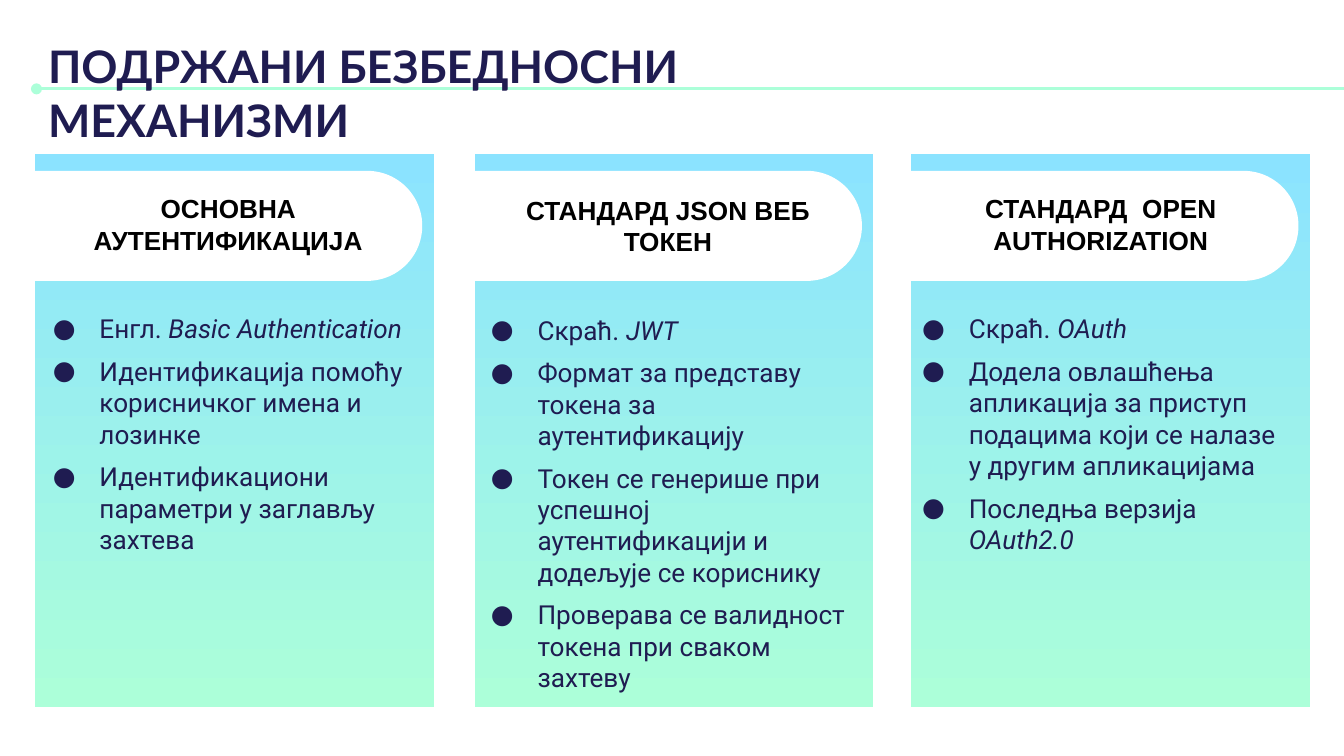
from lxml import etree
from pptx import Presentation
from pptx import util as u
from pptx.dml.color import RGBColor
from pptx.enum import shapes, text
from pptx.oxml.ns import qn

TITLE = "ПОДРЖАНИ БЕЗБЕДНОСНИ МЕХАНИЗМИ"

# Each bullet is a list of (text, italic) runs; lefts and tops are in cm.
COLUMNS = [
    dict(
        heading="ОСНОВНА АУТЕНТИФИКАЦИЈА",
        panel_left=0.66, heading_at=(1.24, 3.58), body_at=(0.36, 5.66),
        bullets=[
            [("Енгл. ", False), ("Basic Authentication", True)],
            [("Идентификација помоћу корисничког имена и лозинке", False)],
            [("Идентификациони параметри у заглављу захтева", False)],
        ],
    ),
    dict(
        heading="СТАНДАРД JSON ВЕБ ТОКЕН",
        panel_left=8.97, heading_at=(9.55, 3.61), body_at=(8.64, 5.69),
        bullets=[
            [("Скраћ. ", False), ("JWT", True)],
            [("Формат за представу токена за аутентификацију", False)],
            [("Токен се генерише при успешној аутентификацији и додељује се кориснику", False)],
            [("Проверава се валидност токена при сваком захтеву", False)],
        ],
    ),
    dict(
        heading="СТАНДАРД  OPEN AUTHORIZATION",
        panel_left=17.22, heading_at=(17.73, 3.58), body_at=(16.79, 5.66),
        bullets=[
            [("Скраћ. ", False), ("OAuth", True)],
            [("Додела овлашћења апликација за приступ подацима који се налазе "
              "у другим апликацијама", False)],
            [("Последња верзија ", False), ("OAuth2.0", True)],
        ],
    ),
]

THEME = dict(
    navy="1F1C51", black="000000", white="FFFFFF", sky="8BE3FF", mint="ACFFD9",
    title=("Lato", 24), heading=("Arial", 14), body=("Roboto", 14),
)

SLIDE_W, SLIDE_H = 25.4, 14.29
PANEL_TOP, PANEL_W, PANEL_H = 2.92, 7.54, 10.44
BANNER_TOP, BANNER_W, BANNER_H = 3.23, 7.32, 2.08
RULE_LEFT, RULE_Y = 0.69, 1.68


def rgb(name):
    return RGBColor.from_string(THEME[name])


def cm(*lengths):
    return [u.Cm(x) for x in lengths]


def add_shape(s, kind, *box):
    sp = s.shapes.add_shape(kind, *cm(*box))
    sp.shadow.inherit = False
    sp.line.fill.background()
    return sp


def add_text(s, *box, anchor=text.MSO_ANCHOR.TOP):
    tf = s.shapes.add_textbox(*cm(*box)).text_frame
    tf.word_wrap = True
    tf.vertical_anchor = anchor
    tf.margin_left = tf.margin_right = tf.margin_top = tf.margin_bottom = u.Cm(0.25)
    return tf


def add_run(p, words, style, color, bold=False, italic=False):
    r = p.add_run()
    r.text = words
    r.font.name, size = THEME[style]
    r.font.size = u.Pt(size)
    r.font.color.rgb = rgb(color)
    r.font.bold, r.font.italic = bold, italic


def set_bullet(p):
    """Give the paragraph a hanging round bullet."""
    pPr = p._p.get_or_add_pPr()
    pPr.set("marL", str(u.Cm(1.27)))
    pPr.set("indent", str(u.Cm(-0.88)))
    color = etree.SubElement(pPr, qn("a:buClr"))
    etree.SubElement(color, qn("a:srgbClr"), val=THEME["navy"])
    etree.SubElement(pPr, qn("a:buFont"), typeface=THEME["body"][0])
    etree.SubElement(pPr, qn("a:buChar"), char="●")


def add_rule(s):
    """Draw the line behind the title, with a dot at its left end."""
    line = s.shapes.add_connector(
        shapes.MSO_CONNECTOR.STRAIGHT, *cm(RULE_LEFT, RULE_Y, SLIDE_W, RULE_Y))
    line.line.color.rgb = rgb("mint")
    line.line.width = u.Pt(1.5)
    etree.SubElement(line.line._get_or_add_ln(), qn("a:headEnd"), type="oval")
    etree.SubElement(line._element.spPr, qn("a:effectLst"))


def add_panel(s, left):
    panel = add_shape(s, shapes.MSO_SHAPE.RECTANGLE, left, PANEL_TOP, PANEL_W, PANEL_H)
    panel.fill.gradient()
    panel.fill.gradient_angle = 270
    for stop, color, pos in zip(panel.fill.gradient_stops, ("sky", "mint"), (0, 1)):
        stop.color.rgb = rgb(color)
        stop.position = pos


def add_banner(s, left):
    """Add the upright shape that, turned by 90 degrees, is rounded on the right."""
    shift = (BANNER_W - BANNER_H) / 2
    banner = add_shape(s, shapes.MSO_SHAPE.ROUND_2_SAME_RECTANGLE,
                       left + shift, BANNER_TOP - shift, BANNER_H, BANNER_W)
    banner.adjustments[0], banner.adjustments[1] = 0.5, 0
    banner.rotation = 90
    banner.fill.solid()
    banner.fill.fore_color.rgb = rgb("white")


def add_column(s, col):
    add_panel(s, col["panel_left"])
    add_banner(s, col["panel_left"])

    tf = add_text(s, *col["heading_at"], 6.15, 1.5, anchor=text.MSO_ANCHOR.BOTTOM)
    p = tf.paragraphs[0]
    p.alignment = text.PP_ALIGN.CENTER
    add_run(p, col["heading"], "heading", "black", bold=True)

    tf = add_text(s, *col["body_at"], 7.82, 7.09)
    for i, runs in enumerate(col["bullets"]):
        p = tf.add_paragraph() if i else tf.paragraphs[0]
        p.space_after = u.Pt(6)
        set_bullet(p)
        for words, italic in runs:
            add_run(p, words, "body", "navy", italic=italic)


def main():
    prs = Presentation()
    prs.slide_width, prs.slide_height = cm(SLIDE_W, SLIDE_H)
    s = prs.slides.add_slide(prs.slide_layouts[6])
    add_rule(s)
    tf = add_text(s, 0.66, 0.48, 16.89, 1.5)
    add_run(tf.paragraphs[0], TITLE, "title", "navy", bold=True)
    for col in COLUMNS:
        add_column(s, col)
    prs.save("out.pptx")


if __name__ == "__main__":
    main()
